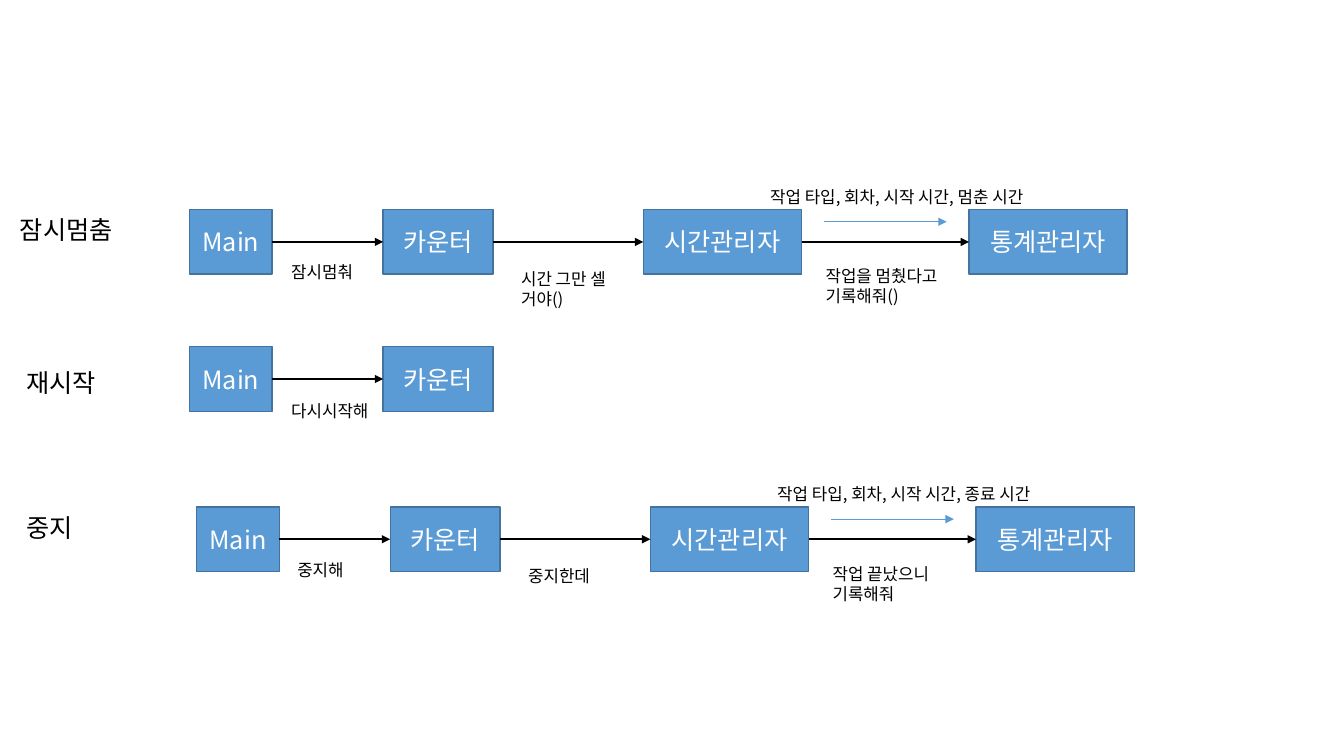
from dataclasses import dataclass

from lxml import etree
from pptx import Presentation
from pptx.dml.color import RGBColor
from pptx.enum.shapes import MSO_CONNECTOR, MSO_SHAPE
from pptx.enum.text import MSO_ANCHOR, MSO_AUTO_SIZE, PP_ALIGN
from pptx.oxml.ns import qn
from pptx.shapes.autoshape import Shape
from pptx.shapes.connector import Connector
from pptx.slide import Slide
from pptx.text.text import TextFrame
from pptx.util import Inches, Pt

FONT = "Noto Sans CJK KR"
BLUE = RGBColor(0x5B, 0x9B, 0xD5)
DARK_BLUE = RGBColor(0x43, 0x73, 0x9E)
BLACK = RGBColor(0, 0, 0)
WHITE = RGBColor(0xFF, 0xFF, 0xFF)

ACTOR_HEIGHT = 0.64
RIGHT_SIDE, LEFT_SIDE = 3, 1


@dataclass(frozen=True)
class Actor:
    name: str
    offset: float
    width: float


@dataclass(frozen=True)
class Label:
    """A text placed relative to the top left corner of its flow."""
    text: str
    dx: float
    dy: float
    width: float
    height: float = 0.3
    size: int = 12


@dataclass(frozen=True)
class Flow:
    left: float
    top: float
    actor_count: int
    labels: tuple[Label, ...]
    has_data_arrow: bool = True


ACTORS = (
    Actor("Main", 0, 0.82),
    Actor("카운터", 1.92, 1.09),
    Actor("시간관리자", 4.5, 1.57),
    Actor("통계관리자", 7.73, 1.57),
)

FLOWS = (
    Flow(1.88, 2.08, 4, (
        Label("잠시멈춤", -1.78, 0, 1.37, 0.4, 18),
        Label("잠시멈춰", 0.91, 0.47, 0.91),
        Label("시간 그만 셀 거야()", 3.19, 0.54, 1.06, 0.5),
        Label("작업을 멈췄다고 기록해줘()", 6.21, 0.51, 1.37, 0.5),
        Label("작업 타입, 회차, 시작 시간, 멈춘 시간", 5.66, -0.28, 3.39),
    )),
    Flow(1.88, 3.44, 2, (
        Label("재시작", -1.72, 0.15, 1.37, 0.4, 18),
        Label("다시시작해", 0.91, 0.49, 1.11),
    ), has_data_arrow=False),
    Flow(1.95, 5.03, 4, (
        Label("중지", -1.79, 0, 1.37, 0.4, 18),
        Label("중지해", 0.9, 0.47, 0.91),
        Label("중지한데", 3.19, 0.53, 1.06),
        Label("작업 끝났으니 기록해줘", 6.21, 0.51, 1.37, 0.5),
        Label("작업 타입, 회차, 시작 시간, 종료 시간", 5.66, -0.28, 3.39),
    )),
)


def write(frame: TextFrame, text: str, size: int, color: RGBColor) -> None:
    frame.text = text
    frame.word_wrap = True
    for run in frame.paragraphs[0].runs:
        run.font.size = Pt(size)
        run.font.color.rgb = color
        run.font.name = FONT
        etree.SubElement(run.font._element, qn("a:ea")).set("typeface", FONT)


def add_actor(slide: Slide, flow: Flow, actor: Actor) -> Shape:
    box = slide.shapes.add_shape(
        MSO_SHAPE.RECTANGLE, Inches(flow.left + actor.offset), Inches(flow.top),
        Inches(actor.width), Inches(ACTOR_HEIGHT))
    box.shadow.inherit = False
    box.fill.solid()
    box.fill.fore_color.rgb = BLUE
    box.line.color.rgb = DARK_BLUE
    box.line.width = Pt(1)
    write(box.text_frame, actor.name, 18, WHITE)
    box.text_frame.vertical_anchor = MSO_ANCHOR.MIDDLE
    box.text_frame.paragraphs[0].alignment = PP_ALIGN.CENTER
    return box


def add_arrow(slide: Slide, start: float, end: float, y: float,
              color: RGBColor, width: float) -> Connector:
    arrow = slide.shapes.add_connector(
        MSO_CONNECTOR.STRAIGHT, Inches(start), Inches(y), Inches(end), Inches(y))
    arrow.line.color.rgb = color
    arrow.line.width = Pt(width)
    etree.SubElement(arrow.line._get_or_add_ln(), qn("a:tailEnd")).set("type", "triangle")
    etree.SubElement(arrow._element.spPr, qn("a:effectLst"))
    return arrow


def add_label(slide: Slide, flow: Flow, label: Label) -> None:
    box = slide.shapes.add_textbox(
        Inches(flow.left + label.dx), Inches(flow.top + label.dy),
        Inches(label.width), Inches(label.height))
    write(box.text_frame, label.text, label.size, BLACK)
    box.text_frame.auto_size = MSO_AUTO_SIZE.SHAPE_TO_FIT_TEXT


def add_flow(slide: Slide, flow: Flow) -> None:
    actors = ACTORS[:flow.actor_count]
    boxes = [add_actor(slide, flow, actor) for actor in actors]
    middle = flow.top + ACTOR_HEIGHT / 2
    for i in range(len(actors) - 1):
        sender, receiver = actors[i], actors[i + 1]
        message = add_arrow(slide, flow.left + sender.offset + sender.width,
                            flow.left + receiver.offset, middle, BLACK, 1.5)
        message.begin_connect(boxes[i], RIGHT_SIDE)
        message.end_connect(boxes[i + 1], LEFT_SIDE)
    if flow.has_data_arrow:
        add_arrow(slide, flow.left + 6.29, flow.left + 7.51, flow.top + 0.12, BLUE, 0.5)
    for label in flow.labels:
        add_label(slide, flow, label)


def main() -> None:
    presentation = Presentation()
    presentation.slide_width = Inches(13.33)
    presentation.slide_height = Inches(7.5)
    slide = presentation.slides.add_slide(presentation.slide_layouts[6])
    for flow in FLOWS:
        add_flow(slide, flow)
    presentation.save("out.pptx")


if __name__ == "__main__":
    main()
